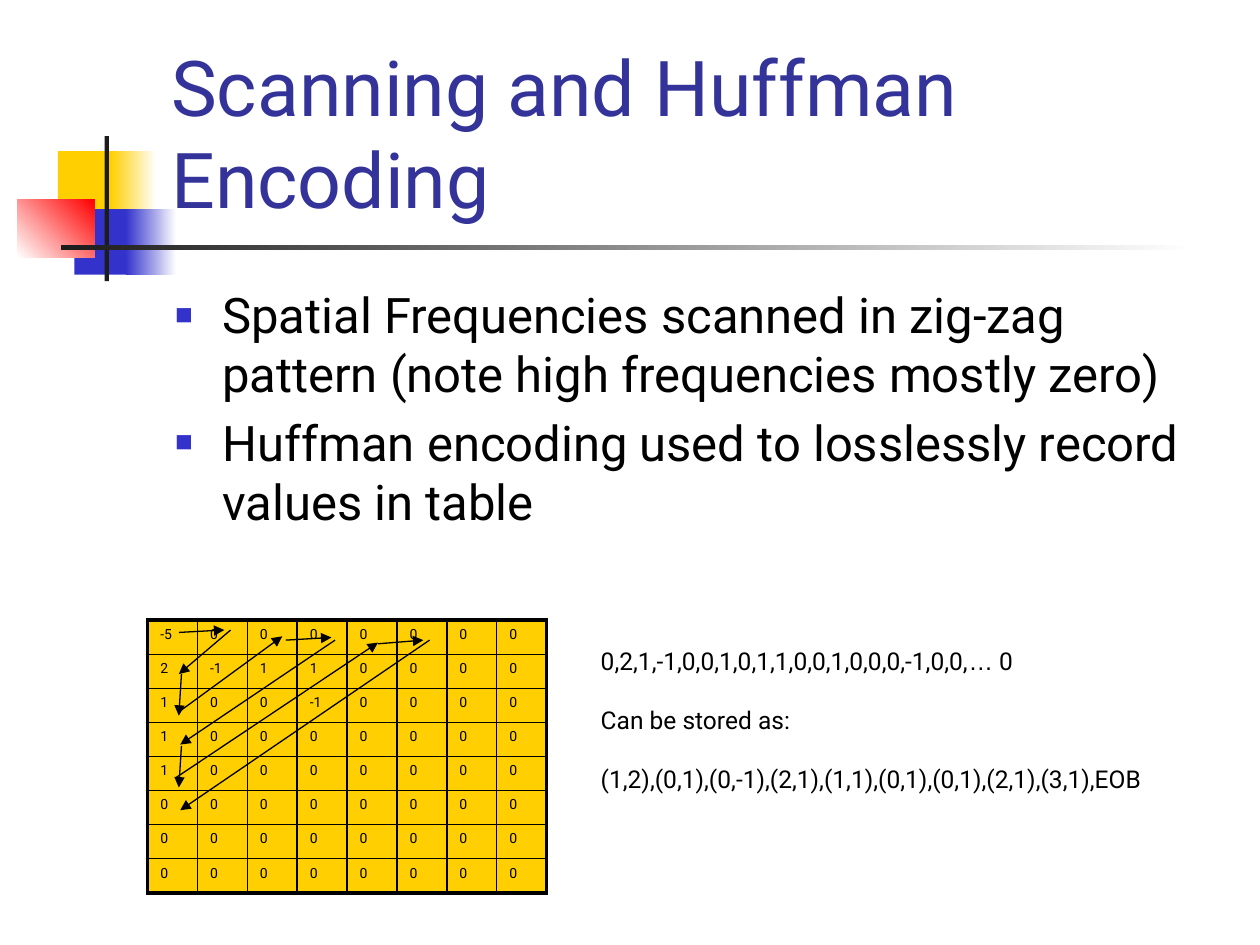
import pptx
import pptx.dml.color
import pptx.enum.shapes
import pptx.enum.text
import pptx.oxml.ns
import pptx.util
from typing import Any, NamedTuple, Optional
from lxml import etree

Pt = pptx.util.Pt
RGBColor = pptx.dml.color.RGBColor
qn = pptx.oxml.ns.qn

BLACK = RGBColor(0x00, 0x00, 0x00)
WHITE = RGBColor(0xFF, 0xFF, 0xFF)
CHARCOAL = RGBColor(0x1C, 0x1C, 0x1C)
YELLOW = RGBColor(0xFF, 0xCF, 0x01)
BLUE = RGBColor(0x33, 0x33, 0xCC)
RED = RGBColor(0xFF, 0x00, 0x00)
INDIGO = RGBColor(0x33, 0x33, 0x99)


class Block(NamedTuple):
    """Decorative rectangle; a second colour makes it a gradient."""
    left: float
    top: float
    width: float
    height: float
    color: RGBColor
    fade: Optional[RGBColor] = None
    angle: float = 0


class Arrow(NamedTuple):
    x1: float
    y1: float
    x2: float
    y2: float


BLOCKS = [
    Block(33.1, 86.4, 34.6, 37.4, YELLOW),
    Block(63.4, 86.4, 25.9, 37.4, YELLOW, WHITE),
    Block(42.5, 119.5, 33.1, 37.4, BLUE),
    Block(72, 119.5, 28.8, 37.4, BLUE, WHITE),
    Block(10, 113.8, 44, 33.1, WHITE, RED, 45),
    Block(59.8, 77.8, 2.4, 82.8, CHARCOAL),
    Block(34.6, 140.2, 648, 2.4, CHARCOAL, WHITE),
]

COEFFICIENTS = [
    [-5, 0, 0, 0, 0, 0, 0, 0],
    [2, -1, 1, 1, 0, 0, 0, 0],
    [1, 0, 0, -1, 0, 0, 0, 0],
    [1, 0, 0, 0, 0, 0, 0, 0],
    [1, 0, 0, 0, 0, 0, 0, 0],
    *[[0] * 8 for _ in range(3)],
]
CELL_WIDTH, CELL_HEIGHT = 28.5, 19.5

# Zig-zag path, in scanning order
ZIGZAG = [
    Arrow(102.2, 361.4, 128.2, 360),
    Arrow(131.8, 360, 102.2, 385.2),
    Arrow(103.7, 385.2, 102.2, 409),
    Arrow(102.2, 406.8, 161.3, 363.6),
    Arrow(163.4, 365.8, 189.4, 364.3),
    Arrow(191.5, 365.8, 103, 425.5),
    Arrow(103.7, 426.2, 102.2, 450),
    Arrow(100.8, 444.2, 216, 367.2),
    Arrow(216, 367.9, 241.9, 365.8),
    Arrow(245.5, 365.8, 103, 463),
]

BULLETS = [
    "Spatial Frequencies scanned in zig-zag pattern (note high frequencies mostly zero)",
    "Huffman encoding used to losslessly record values in table",
]
ENCODING = [
    [("0,2,1,-1,0,0,1,0,1,1,0,0,1,0,0,0,-1,0,0,", "Roboto"), ("…", "Arial"), (" 0", "Roboto")],
    [("Can be stored as:", "Roboto")],
    [("(1,2),(0,1),(0,-1),(2,1),(1,1),(0,1),(0,1),(2,1),(3,1),EOB", "Roboto")],
]


def apply(target: Any, values: dict) -> None:
    for name, value in values.items():
        setattr(target, name, value)


def box(left: float, top: float, width: float, height: float) -> dict:
    return dict(left=Pt(left), top=Pt(top), width=Pt(width), height=Pt(height))


def add_run(paragraph: Any, text: str, size: float, color: RGBColor = BLACK,
            font: str = "Roboto") -> None:
    run = paragraph.add_run()
    run.text = text
    apply(run.font, dict(size=Pt(size), name=font))
    run.font.color.rgb = color


def draw_block(shapes: Any, block: Block) -> None:
    rect = shapes.add_shape(pptx.enum.shapes.MSO_SHAPE.RECTANGLE,
                            **box(*block[:4]))
    rect.shadow.inherit = False
    rect.line.fill.background()
    if block.fade is None:
        rect.fill.solid()
        rect.fill.fore_color.rgb = block.color
    else:
        rect.fill.gradient()
        rect.fill.gradient_angle = block.angle
        for stop, color in zip(rect.fill.gradient_stops, (block.color, block.fade)):
            stop.color.rgb = color


def draw_arrow(shapes: Any, arrow: Arrow) -> None:
    line = shapes.add_connector(pptx.enum.shapes.MSO_CONNECTOR.STRAIGHT,
                                *(Pt(value) for value in arrow))
    line.line.width = Pt(0.75)
    line.line.color.rgb = BLACK
    etree.SubElement(line.line._get_or_add_ln(), qn("a:tailEnd"), type="triangle")
    etree.SubElement(line._element.spPr, qn("a:effectLst"))


def set_borders(cell: Any, widths: dict) -> None:
    properties = cell._tc.get_or_add_tcPr()
    for position, (side, width) in enumerate(widths.items()):
        border = etree.Element(qn(f"a:ln{side}"), w=str(Pt(width)))
        fill = etree.SubElement(border, qn("a:solidFill"))
        etree.SubElement(fill, qn("a:srgbClr"), val=str(BLACK))
        properties.insert(position, border)


def draw_coefficients(shapes: Any) -> None:
    size = len(COEFFICIENTS)
    grid = shapes.add_table(size, size, **box(84.4, 354.4, size * CELL_WIDTH,
                                              size * CELL_HEIGHT)).table
    apply(grid, dict(first_row=False, horz_banding=False))
    for column in grid.columns:
        column.width = Pt(CELL_WIDTH)
    for r, values in enumerate(COEFFICIENTS):
        grid.rows[r].height = Pt(CELL_HEIGHT)
        for c, value in enumerate(values):
            cell = grid.cell(r, c)
            cell.fill.solid()
            cell.fill.fore_color.rgb = YELLOW
            add_run(cell.text_frame.paragraphs[0], str(value), 8)
            outer = dict(L=c == 0, R=c == size - 1, T=r == 0, B=r == size - 1)
            set_borders(cell, {side: 2.25 if edge else 1 for side, edge in outer.items()})


def add_bullet(paragraph: Any, text: str) -> None:
    add_run(paragraph, text, 28)
    properties = paragraph._p.get_or_add_pPr()
    apply_indent = dict(marL=str(Pt(27)), indent=str(Pt(-27)))
    properties.attrib.update(apply_indent)
    color = etree.SubElement(properties, qn("a:buClr"))
    etree.SubElement(color, qn("a:srgbClr"), val=str(BLUE))
    etree.SubElement(properties, qn("a:buSzPct"), val="60000")
    etree.SubElement(properties, qn("a:buChar"), char="■")


def main() -> None:
    deck = pptx.Presentation()
    apply(deck, dict(slide_width=Pt(720), slide_height=Pt(540)))
    slide = deck.slides.add_slide(deck.slide_layouts[1])
    shapes = slide.shapes
    title, body = shapes.title, slide.placeholders[1]
    anchor, fit = pptx.enum.text.MSO_ANCHOR, pptx.enum.text.MSO_AUTO_SIZE

    # Corner decoration, kept behind the title
    for block in BLOCKS:
        draw_block(shapes, block)
    shapes._spTree.append(title._element)

    # Title
    apply(title, box(90.7, 16.6, 613.4, 115.2))
    apply(title.text_frame, dict(vertical_anchor=anchor.BOTTOM, auto_size=fit.NONE))
    heading = title.text_frame.paragraphs[0]
    heading.alignment = pptx.enum.text.PP_ALIGN.LEFT
    add_run(heading, "Scanning and Huffman Encoding", 44, INDIGO)

    # Coefficient table and zig-zag path
    draw_coefficients(shapes)
    for arrow in ZIGZAG:
        draw_arrow(shapes, arrow)

    # Bullets
    shapes._spTree.append(body._element)
    apply(body, box(92.9, 159.1, 612, 171.4))
    body.text_frame.auto_size = fit.NONE
    for i, text in enumerate(BULLETS):
        add_bullet(body.text_frame.add_paragraph() if i else body.text_frame.paragraphs[0], text)

    # Run-length encoding
    encoding = shapes.add_textbox(**box(336.2, 365.8, 356.4, 90.7)).text_frame
    apply(encoding, dict(word_wrap=False, auto_size=fit.SHAPE_TO_FIT_TEXT))
    for i, runs in enumerate(ENCODING):
        paragraph = encoding.add_paragraph() if i else encoding.paragraphs[0]
        paragraph.space_before = Pt(16.8 if i else 0)
        for text, font in runs:
            add_run(paragraph, text, 14, font=font)

    deck.save("out.pptx")


if __name__ == "__main__":
    main()
